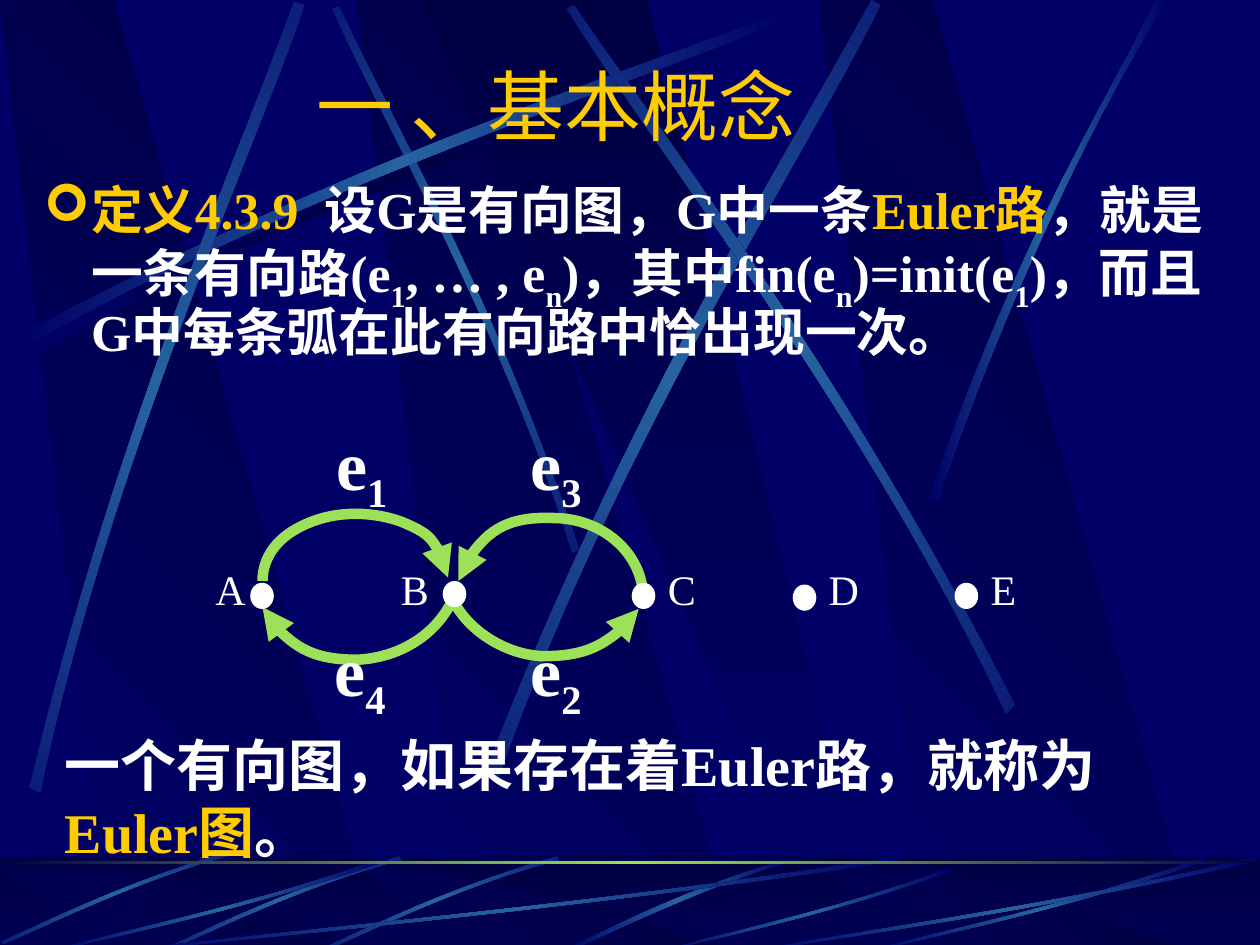
from copy import deepcopy
from dataclasses import dataclass
from math import cos, radians, sin

from lxml import etree
from pptx import Presentation
from pptx.dml.color import RGBColor
from pptx.enum.shapes import MSO_SHAPE
from pptx.enum.text import MSO_ANCHOR, PP_ALIGN
from pptx.oxml.ns import qn
from pptx.util import Pt

RECT, OVAL = MSO_SHAPE.RECTANGLE, MSO_SHAPE.OVAL
MIDDLE, CENTER, LEFT = MSO_ANCHOR.MIDDLE, PP_ALIGN.CENTER, PP_ALIGN.LEFT


@dataclass(frozen=True)
class Theme:
    """Colours, fonts and type sizes of the slide."""
    navy: str = "000066"
    dark: str = "000044"
    beam: str = "2663A0"
    green: str = "9CE157"
    gold: str = "FFCC00"
    white: str = "FFFFFF"
    serif: str = "Times New Roman"
    sans: str = "Montserrat"
    title: float = 44
    body: float = 29.6
    conclusion: float = 32
    node: float = 24
    edge: float = 40


T = Theme()
FADE = (T.navy, T.beam, T.navy)
SHADE = (T.navy, T.dark, T.navy)
SLANT = [(0.29, 1), (1, 1), (0.3, 0), (0, 0)]
WEDGE = [(0, 0), (0.9, 1), (1, 1), (0.5, 0)]
LONG_BEAM = [(14, 198), (205, 96), (377, 42), (451, 13),
             (453, 17), (380, 50), (183, 109), (17, 205)]
STEEP_BEAMS = [
    (45, [(331, 314), (282, 168), (217, 55), (194, 4),
          (190, 5), (212, 57), (287, 186), (327, 316)]),
    (311.7, [(17, 450), (67, 240), (142, 76), (168, 1),
             (174, 3), (149, 78), (62, 265), (23, 453)]),
    (321.6, [(277, 442), (359, 230), (459, 73), (498, 0),
             (503, 3), (467, 78), (350, 256), (284, 447)]),
    (34.8, [(580, 403), (482, 211), (372, 68), (328, 3),
            (324, 5), (365, 73), (493, 234), (575, 408)]),
]
RIGHT_BEAM = [(531, 284), (586, 125), (639, 48), (660, 0),
              (667, 0), (602, 104), (554, 232), (536, 286)]
FLOOR_BEAM = [(1, 0.04), (0.57, 0.57), (0.17, 0.85), (0.01, 1),
              (0, 0.99), (0.17, 0.81), (0.62, 0.5), (0.99, 0)]
FLOOR_SHORT = [(134, 0), (71, 18), (22, 43), (0, 52.5),
               (1, 54), (23, 45), (78.5, 16.5), (135.5, 2)]
FLOOR_MIDDLE = [(128, 0), (64, 19), (20, 43), (0, 52),
                (3, 53), (30, 40), (88, 13), (129, 2)]
ARCS = [
    [(34, 96), (34, 82), (43, 70), (60, 63), (76, 56), (96, 56), (113, 62),
     (130, 69), (140, 82), (140, 94)],
    [(251, 99), (247, 76), (225, 60), (200, 60), (174, 59), (152, 74), (146, 96)],
    [(142, 108), (132, 128), (111, 140), (88, 141), (65, 141), (43, 130), (34, 111)],
    [(144, 109), (153, 125), (173, 138), (194, 139), (216, 139), (238, 130), (249, 112)],
]
NODES = [("A", 27, 97, 0), ("B", 137, 96, 106), ("C", 245, 97, 258.5),
         ("D", 337, 98, 350.5), ("E", 429.5, 97, 443)]
EDGES = [("1", 69, 0), ("3", 180, 0), ("2", 180, 118), ("4", 68, 118)]


def fit(pts, box, unit=False):
    """Move points into a box, scaling them to it when they are fractions."""
    x, y, w, h = box if unit else (*box[:2], 1, 1)
    return [(x + px * w, y + py * h) for px, py in pts]


def turn(pts, angle):
    """Rotate points clockwise about the slide corner."""
    c, d = cos(radians(angle)), sin(radians(angle))
    return [(x * c - y * d, x * d + y * c) for x, y in pts]


def level(pts, angle):
    """Give the points that a rotation about their own centre brings into place."""
    flat = turn(pts, -angle)
    mx, my = ((min(v) + max(v)) / 2 for v in zip(*flat))
    (cx, cy), = turn([(mx, my)], angle)
    return fit(flat, (cx - mx, cy - my))


def outline(s, pts, close=True):
    """Add a freeform through the points."""
    pts = [(Pt(x), Pt(y)) for x, y in pts]
    fb = s.shapes.build_freeform(*pts[0], scale=1)
    fb.add_line_segments(pts[1:], close=close)
    sp = fb.convert_to_shape()
    sp.shadow.inherit = False
    return sp


def curve(sp, starts):
    """Turn three line segments from each start into one cubic curve."""
    lines = sp._element.spPr.findall(".//" + qn("a:lnTo"))
    for i in starts:
        cubic = etree.Element(qn("a:cubicBezTo"))
        lines[i].addprevious(cubic)
        for line in lines[i:i + 3]:
            cubic.append(line[0])
            line.getparent().remove(line)


def preset(s, kind, box, color=None):
    """Add a borderless preset shape."""
    sp = s.shapes.add_shape(kind, *map(Pt, box))
    sp.shadow.inherit = False
    sp.line.fill.background()
    if color:
        sp.fill.solid()
        sp.fill.fore_color.rgb = RGBColor.from_string(color)
    return sp


def blend(sp, colors, angle=0):
    """Fill a shape with evenly spaced gradient colours."""
    sp.line.fill.background()
    sp.fill.gradient()
    sp.fill.gradient_angle = angle
    stops = sp._element.spPr.find(".//" + qn("a:gsLst"))
    for _ in colors[2:]:
        stops.append(deepcopy(stops[0]))
    for i, (stop, color) in enumerate(zip(sp.fill.gradient_stops, colors)):
        stop.position = i / (len(colors) - 1)
        stop.color.rgb = RGBColor.from_string(color)


def beam(s, pts, box, colors=FADE, angle=0, unit=False):
    """Draw a light beam between two curved edges."""
    sp = outline(s, level(fit(pts, box, unit), angle))
    curve(sp, (0, 4))
    sp.rotation = angle
    blend(sp, colors)


def bands(s, box):
    """Draw the slanted dark bands down the height of a box."""
    x, y, w, h = box
    for left in (204, 0, 468):
        blend(outline(s, fit(SLANT, (x + left, y, 217, h), True)), (T.dark, T.navy), 225)
    blend(outline(s, fit(WEDGE, (x + 240, y, 260, h), True)), (T.dark, T.navy), 270)


def backdrop(s, box):
    """Draw the upper background of bands and beams."""
    x, y, w, h = box
    bands(s, box)
    beam(s, LONG_BEAM, box, SHADE)
    first, *others = STEEP_BEAMS
    beam(s, first[1], box, angle=first[0])
    beam(s, LONG_BEAM, (x - 4, y - 6))
    for angle, pts in others:
        beam(s, pts, box, angle=angle)
    beam(s, RIGHT_BEAM, box)


def floor(s, box):
    """Draw the bottom strip with its beams and green rule."""
    x, y, w, h = box
    blend(preset(s, RECT, box), (T.dark, T.navy), 270)
    bands(s, (x, y + 6, w, h - 6))
    veil = preset(s, RECT, box, T.dark)
    color = veil._element.spPr.find(".//" + qn("a:srgbClr"))
    etree.SubElement(color, qn("a:alpha"), val="50000")
    beam(s, FLOOR_MIDDLE, (x + 323, y + 1))
    for left, top in ((184, 0), (94, 0), (1, -4)):
        beam(s, FLOOR_SHORT, (x + left, y + top), angle=314.9)
    for left, top, width in ((72, 0, 444), (30, 0, 192), (379, 6, 166),
                             (498, 0, 192), (432, 0, 288)):
        beam(s, FLOOR_BEAM, (x + left, y + top, width, h - top), unit=True)
    blend(preset(s, RECT, (x, y + 2.75, w, 1.75)), (T.dark, T.green, T.dark))


def text(s, box, runs, size, bold=False, font=T.serif, wrap=True, align=LEFT):
    """Add a one-paragraph text box of (text, colour, baseline) runs."""
    tf = s.shapes.add_textbox(*map(Pt, box)).text_frame
    tf.word_wrap = wrap
    p = tf.paragraphs[0]
    p.alignment = align
    for words, color, base in runs:
        r = p.add_run()
        r.text = words
        r.font.size, r.font.bold, r.font.name = Pt(size), bold, font
        r.font.color.rgb = RGBColor.from_string(color)
        if base:
            r._r.get_or_add_rPr().set("baseline", str(base * 1000))
    return tf


def title(s, box):
    """Place the slide title."""
    tf = text(s, box, [("一 、基本概念", T.gold, 0)], T.title, font=T.sans, align=CENTER)
    tf.vertical_anchor = MIDDLE


def definition(s, box):
    """Place the bulleted definition."""
    runs = [("定义4.3.9  ", T.gold, 0), ("设G是有向图，G中一条", T.white, 0),
            ("Euler路", T.gold, 0), ("，就是一条有向路(e", T.white, 0),
            ("1", T.white, -30), (", … , e", T.white, 0), ("n", T.white, -30),
            (")，其中fin(e", T.white, 0), ("n", T.white, -30), (")=init(e", T.white, 0),
            ("1", T.white, -30), (")，而且G中每条弧在此有向路中恰出现一次。", T.white, 0)]
    p = text(s, box, runs, T.body, True).paragraphs[0]
    p.line_spacing = 0.9
    pPr = p._p.get_or_add_pPr()
    pPr.set("marL", str(Pt(27)))
    pPr.set("indent", str(-Pt(27)))
    etree.SubElement(etree.SubElement(pPr, qn("a:buClr")), qn("a:srgbClr"), val=T.gold)
    etree.SubElement(pPr, qn("a:buFont"), typeface="Wingdings")
    etree.SubElement(pPr, qn("a:buChar"), char="➢")


def graph(s, box):
    """Draw the directed graph with its nodes, arcs and labels."""
    x, y, w, h = box
    for arc in ARCS:
        sp = outline(s, fit(arc, box), close=False)
        curve(sp, range(0, len(arc) - 1, 3))
        sp.fill.background()
        sp.line.color.rgb = RGBColor.from_string(T.green)
        sp.line.width = Pt(6)
        etree.SubElement(sp.line._get_or_add_ln(), qn("a:tailEnd"), type="triangle")
    for name, left, top, label in NODES:
        text(s, (x + label, y + 82.5, 31, 36), [(name, T.white, 0)], T.node, wrap=False)
        preset(s, OVAL, (x + left, y + top, 13.5, 15), T.white)
    for index, left, top in EDGES:
        text(s, (x + left, y + top + 0.5, 44, 62),
             [("e", T.white, 0), (index, T.white, -25)], T.edge, True, wrap=False)


def conclusion(s, box):
    """Place the closing statement."""
    text(s, box, [("一个有向图，如果存在着Euler路，就称为", T.white, 0),
                  ("Euler图", T.gold, 0), ("。", T.white, 0)], T.conclusion, True)


def main():
    """Build and save the slide."""
    prs = Presentation()
    prs.slide_width, prs.slide_height = Pt(720), Pt(540)
    s = prs.slides.add_slide(prs.slide_layouts[6])
    s.background.fill.solid()
    s.background.fill.fore_color.rgb = RGBColor.from_string(T.navy)
    backdrop(s, (0, 0, 720, 541))
    floor(s, (0, 489.5, 720, 54))
    definition(s, (18, 102, 690, 168))
    graph(s, (116, 236, 486, 180))
    conclusion(s, (30, 414, 666, 84))
    title(s, (12, 29.5, 612, 60.5))
    prs.save("out.pptx")


if __name__ == "__main__":
    main()
